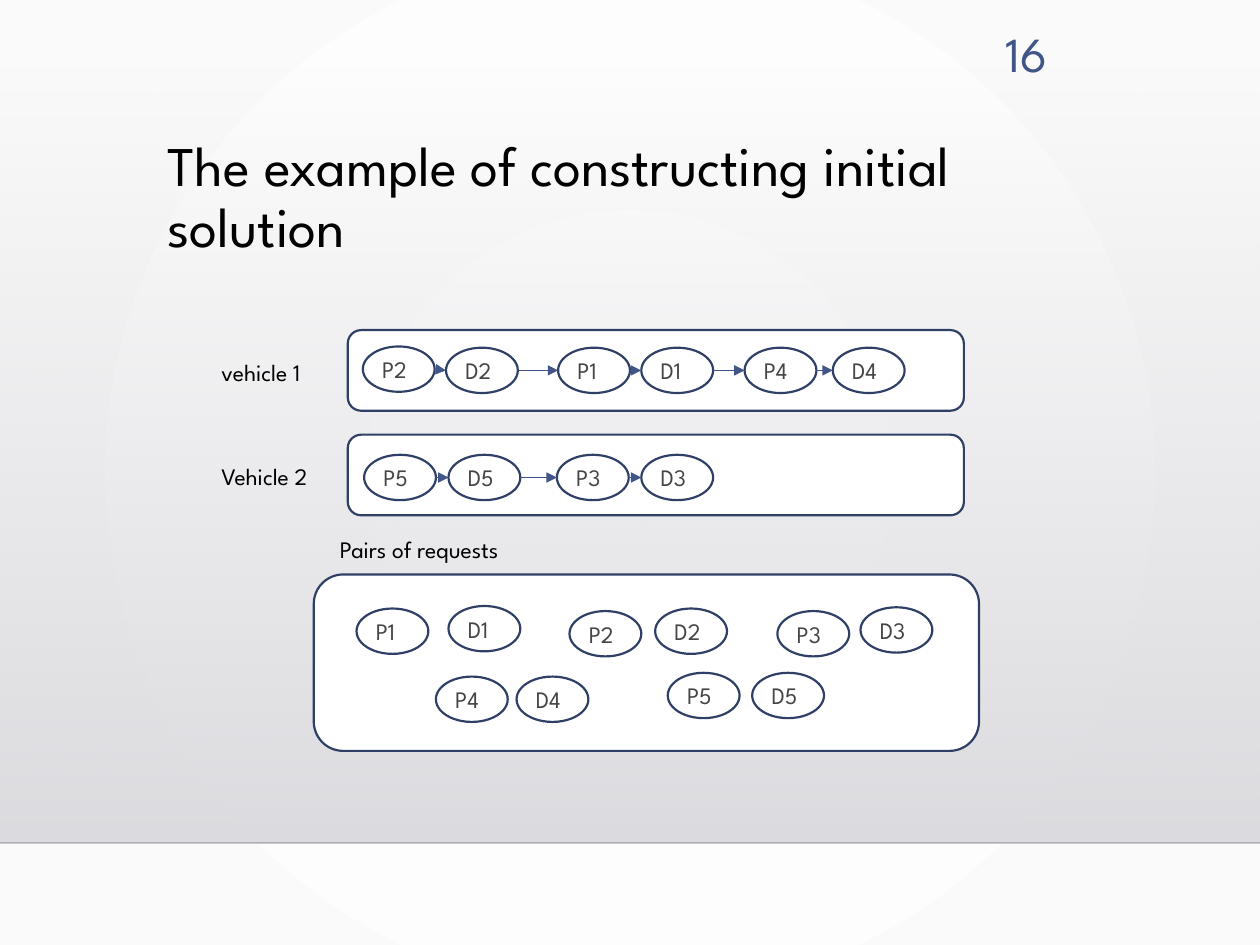
from lxml.etree import SubElement
from pptx import Presentation
from pptx.dml.color import RGBColor
from pptx.enum.shapes import MSO_CONNECTOR, MSO_SHAPE
from pptx.enum.text import MSO_ANCHOR, PP_ALIGN
from pptx.oxml.ns import qn
from pptx.util import Inches, Pt

FONT = "League Spartan"
COLORS = {
    "white": "FFFFFF", "paper": "FAFAFA", "haze": "DCDCE0", "mist": "DADADE",
    "floor": "000001", "outline": "303F65", "accent": "415588",
    "black": "000000", "node": "454545",
}

TITLE = "The example of constructing initial solution"
PAGE_NUMBER = "16"
POOL_LABEL = "Pairs of requests"

# Each route: label, top of its box, stops as (name, left, top)
ROUTES = [
    ("vehicle 1", 2.62, [("P2", 2.88, 2.75), ("D2", 3.54, 2.76), ("P1", 4.43, 2.76),
                         ("D1", 5.09, 2.76), ("P4", 5.91, 2.76), ("D4", 6.61, 2.76)]),
    ("Vehicle 2", 3.45, [("P5", 2.89, 3.61), ("D5", 3.56, 3.61),
                         ("P3", 4.42, 3.61), ("D3", 5.09, 3.61)]),
]
REQUESTS = [
    ("P1", 2.83, 4.83), ("D1", 3.56, 4.81), ("P2", 4.52, 4.85), ("D2", 5.2, 4.83),
    ("P3", 6.17, 4.85), ("D3", 6.83, 4.82), ("P4", 3.46, 5.37), ("D4", 4.1, 5.37),
    ("P5", 5.3, 5.34), ("D5", 5.97, 5.34),
]
NODE_W, NODE_H = 0.57, 0.36


def rgb(name):
    return RGBColor.from_string(COLORS[name])


def set_gradient(owner, stops, shade, **attrs):
    """Rewrite the first gradient under owner; stops are (percent, color, alpha)."""
    gradient = next(owner.iter(qn("a:gradFill")))
    gradient.clear()
    stop_list = SubElement(gradient, qn("a:gsLst"))
    for percent, color, alpha in stops:
        stop = SubElement(stop_list, qn("a:gs"), pos=str(percent * 1000))
        tint = SubElement(stop, qn("a:srgbClr"), val=COLORS[color])
        if alpha < 100:
            SubElement(tint, qn("a:alpha"), val=str(alpha * 1000))
    return SubElement(gradient, qn(shade), **attrs)


def write(frame, text, size=13.5, color="black", align=PP_ALIGN.LEFT, spacing=None):
    frame.word_wrap = True
    paragraph = frame.paragraphs[0]
    paragraph.alignment = align
    if spacing:
        paragraph.line_spacing = spacing
    run = paragraph.add_run()
    run.text = text
    run.font.name, run.font.size = FONT, Pt(size)
    run.font.color.rgb = rgb(color)


def add_label(slide, text, left, top, width, height=0.33, **style):
    box = slide.shapes.add_textbox(*map(Inches, (left, top, width, height)))
    write(box.text_frame, text, **style)


def add_outlined(slide, preset, left, top, width, height):
    shape = slide.shapes.add_shape(preset, *map(Inches, (left, top, width, height)))
    shape.shadow.inherit = False
    shape.fill.solid()
    shape.fill.fore_color.rgb = rgb("white")
    shape.line.color.rgb = rgb("outline")
    shape.line.width = Pt(1.25)
    return shape


def add_node(slide, name, left, top):
    frame = add_outlined(slide, MSO_SHAPE.OVAL, left, top, NODE_W, NODE_H).text_frame
    frame.margin_left = frame.margin_right = Inches(0.07)
    frame.margin_top = frame.margin_bottom = Inches(0.04)
    frame.vertical_anchor = MSO_ANCHOR.MIDDLE
    write(frame, name, color="node")


def add_line(slide, start, end, color, width):
    """Draw a straight line and return its a:ln element."""
    connector = slide.shapes.add_connector(MSO_CONNECTOR.STRAIGHT, *map(Inches, start + end))
    connector.line.color.rgb = rgb(color)
    connector.line.width = Pt(width)
    SubElement(connector.element.spPr, qn("a:effectLst"))
    return connector.get_or_add_ln()


def add_backdrop(slide):
    slide.background.fill.gradient()
    focus = set_gradient(slide.element, [(0, "white", 100), (100, "paper", 100)],
                         "a:path", path="circle")
    SubElement(focus, qn("a:fillToRect"), **dict.fromkeys("ltrb", "50000"))

    wall = slide.shapes.add_shape(MSO_SHAPE.RECTANGLE, 0, Inches(0.51), Inches(10), Inches(6.18))
    wall.shadow.inherit = False
    wall.line.fill.background()
    wall.fill.gradient()
    set_gradient(wall.element, [(0, "haze", 0), (100, "mist", 100)],
                 "a:lin", ang="5400000", scaled="0")

    edge = add_line(slide, (0, 6.69), (10, 6.69), "floor", 1)
    SubElement(next(edge.iter(qn("a:srgbClr"))), qn("a:alpha"), val="20000")


def add_route(slide, label, box_top, stops):
    add_outlined(slide, MSO_SHAPE.ROUNDED_RECTANGLE, 2.76, box_top, 4.89, 0.64)
    add_label(slide, label, 1.66, box_top + 0.17, 1.1)
    for stop in stops:
        add_node(slide, *stop)
    for (_, left, top), (_, next_left, next_top) in zip(stops, stops[1:]):
        arrow = add_line(slide, (left + NODE_W, top + NODE_H / 2),
                         (next_left, next_top + NODE_H / 2), "accent", 0.75)
        SubElement(arrow, qn("a:tailEnd"), type="triangle")


def main():
    deck = Presentation()
    deck.slide_width, deck.slide_height = Inches(10), Inches(7.5)
    slide = deck.slides.add_slide(deck.slide_layouts[6])

    add_backdrop(slide)
    add_label(slide, TITLE, 1.23, 1.05, 7.19, 1.15, size=32, spacing=0.9)
    add_label(slide, PAGE_NUMBER, 7.54, 0.14, 0.87, 0.55,
              size=28, color="accent", align=PP_ALIGN.RIGHT)
    for route in ROUTES:
        add_route(slide, *route)

    add_outlined(slide, MSO_SHAPE.ROUNDED_RECTANGLE, 2.49, 4.56, 5.28, 1.4)
    add_label(slide, POOL_LABEL, 2.6, 4.2, 2.06)
    for request in REQUESTS:
        add_node(slide, *request)

    deck.save("out.pptx")


if __name__ == "__main__":
    main()
